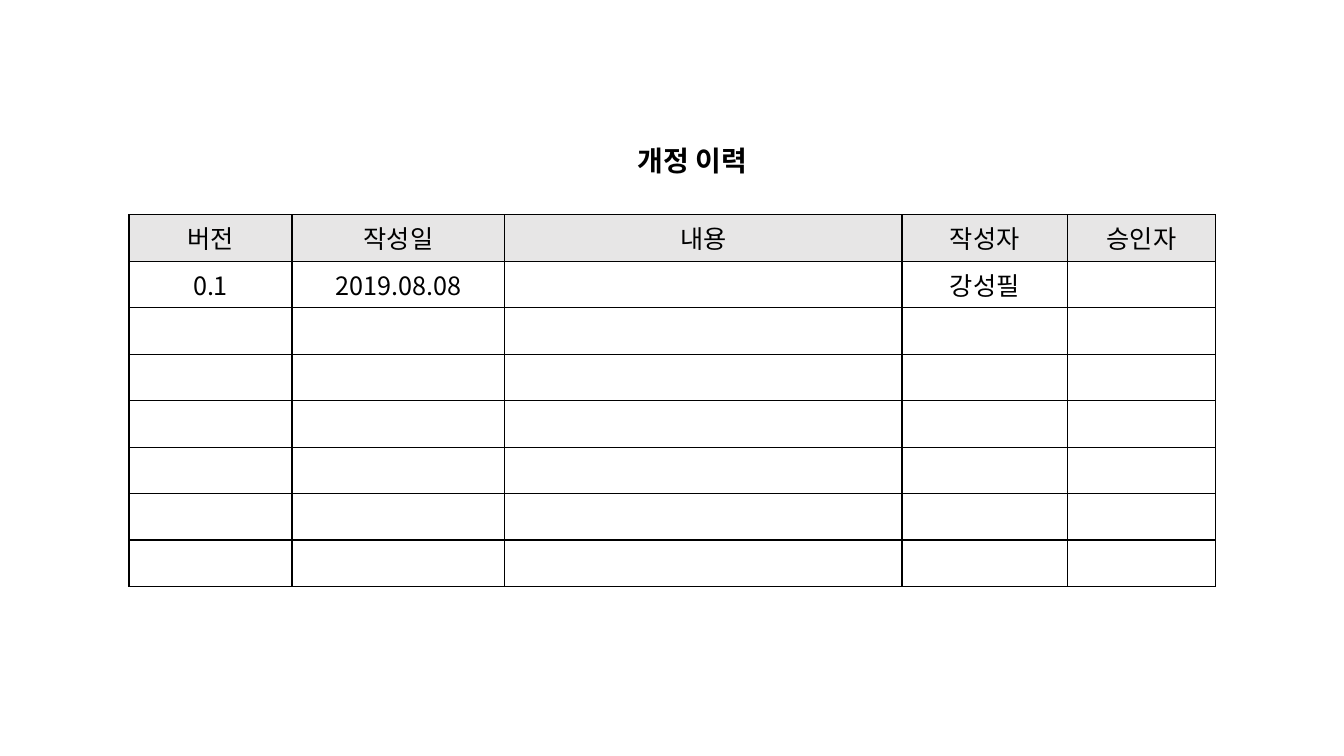
from pptx import Presentation
from pptx import util as u
from pptx.dml.color import RGBColor
from pptx.enum import text
from pptx.oxml import ns, parse_xml

FONT = "Noto Sans CJK KR"
INK = {"text": "000000", "line": "000000", "head": "E7E6E6"}
COLS = [4.11, 5.36, 10.01, 4.17, 3.73]
ROWS = 8
HIGH = 1.17
DATA = [
    ["버전", "작성일", "내용", "작성자", "승인자"],
    ["0.1", "2019.08.08", "", "강성필", ""],
]


def write(frame, words, size, bold=False):
    """Add one centred run to the first paragraph of a text frame."""
    para = frame.paragraphs[0]
    para.alignment = text.PP_ALIGN.CENTER
    run = para.add_run()
    run.text = words
    font = run.font
    font.name, font.size, font.bold = FONT, u.Pt(size), bold
    font.color.rgb = RGBColor.from_string(INK["text"])
    east = parse_xml(f'<a:ea {ns.nsdecls("a")} typeface="{FONT}"/>')
    run._r.get_or_add_rPr().find(ns.qn("a:latin")).addnext(east)


def edge(cell):
    """Draw a thin line on all four sides of a cell."""
    props = cell._tc.get_or_add_tcPr()
    for side in "LRTB":
        props.append(parse_xml(
            f'<a:ln{side} {ns.nsdecls("a")} w="{u.Pt(1)}"><a:solidFill>'
            f'<a:srgbClr val="{INK["line"]}"/></a:solidFill></a:ln{side}>'))


def title(slide, words):
    """Place the heading above the table."""
    box = slide.shapes.add_textbox(u.Cm(12.47), u.Cm(3.48), u.Cm(9.96), u.Cm(1.12))
    frame = box.text_frame
    frame.word_wrap = True
    frame.auto_size = text.MSO_AUTO_SIZE.SHAPE_TO_FIT_TEXT
    write(frame, words, 20, True)


def grid(slide):
    """Build the revision table with its header row and blank rows."""
    table = slide.shapes.add_table(
        ROWS, len(COLS), u.Cm(3.25), u.Cm(5.41),
        u.Cm(sum(COLS)), u.Cm(HIGH * ROWS)).table
    table.first_row = table.horz_banding = False
    for col, width in zip(table.columns, COLS):
        col.width = u.Cm(width)
    for row in table.rows:
        row.height = u.Cm(HIGH)
    for cell in table.iter_cells():
        edge(cell)
        cell.fill.background()
    for r, line in enumerate(DATA):
        for c, words in enumerate(line):
            if words:
                write(table.cell(r, c).text_frame, words, 18)
    for cell in table.rows[0].cells:
        cell.fill.solid()
        cell.fill.fore_color.rgb = RGBColor.from_string(INK["head"])


def main():
    """Make the revision history slide."""
    deck = Presentation()
    deck.slide_width, deck.slide_height = u.Cm(33.87), u.Cm(19.05)
    slide = deck.slides.add_slide(deck.slide_layouts[6])
    grid(slide)
    title(slide, "개정 이력")
    deck.save("out.pptx")


if __name__ == "__main__":
    main()
